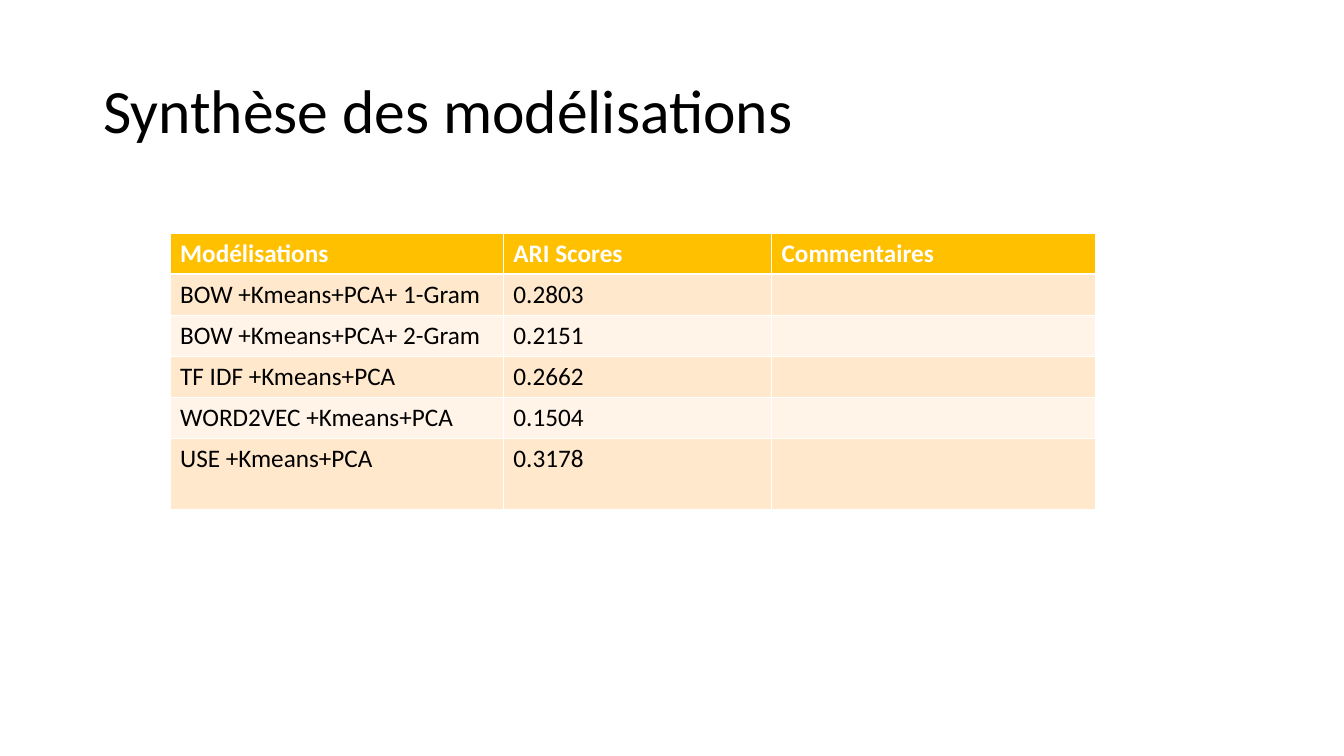
"""Build the slide that sums up the ARI score of each text model."""
from dataclasses import dataclass

from lxml.etree import SubElement
from pptx import Presentation
from pptx.dml.color import RGBColor
from pptx.enum.text import MSO_ANCHOR as Anchor
from pptx.oxml import parse_xml
from pptx.oxml.ns import nsdecls, qn
from pptx.util import Emu, Pt

EMU_PER_PX = 9080


@dataclass(frozen=True)
class Theme:
    font: str = "Calibri"
    title_size: int = 44
    cell_size: int = 18
    ink: str = "000000"
    paper: str = "FFFFFF"
    header: str = "FFC000"
    bands: tuple[str, str] = ("FFE8CB", "FFF4E7")
    thin: float = 0.45
    thick: float = 1.47


@dataclass(frozen=True)
class Column:
    heading: str
    width: int


@dataclass(frozen=True)
class Score:
    model: str
    ari: str
    comment: str = ""
    height: int = 41


THEME = Theme()
HEADER_HEIGHT = 41
COLUMNS = (
    Column("Modélisations", 333),
    Column("ARI Scores", 268),
    Column("Commentaires", 323),
)
SCORES = (
    Score("BOW +Kmeans+PCA+ 1-Gram", "0.2803"),
    Score("BOW +Kmeans+PCA+ 2-Gram", "0.2151"),
    Score("TF IDF +Kmeans+PCA", "0.2662"),
    Score("WORD2VEC +Kmeans+PCA", "0.1504"),
    Score("USE +Kmeans+PCA", "0.3178", height=71),
)


def px(length: int) -> Emu:
    return Emu(length * EMU_PER_PX)


def style_paragraph(paragraph, size: int, colour: str, bold: bool = False) -> None:
    font = paragraph.font
    font.name, font.size, font.bold = THEME.font, Pt(size), bold
    font.color.rgb = RGBColor.from_string(colour)


def add_title(slide, text: str) -> None:
    title = slide.shapes.add_textbox(px(93), px(40), px(1158), px(146)).text_frame
    title.word_wrap = True
    title.vertical_anchor = Anchor.MIDDLE
    heading = title.paragraphs[0]
    heading.text = text
    heading.line_spacing = 0.9
    style_paragraph(heading, THEME.title_size, THEME.ink)


def set_borders(cell, top: float, bottom: float) -> None:
    properties = cell._tc.get_or_add_tcPr()
    widths = {"lnL": THEME.thin, "lnR": THEME.thin, "lnT": top, "lnB": bottom}
    for position, (side, width) in enumerate(widths.items()):
        border = parse_xml(f'<a:{side} {nsdecls("a")} w="{Pt(width)}"/>')
        fill = SubElement(border, qn("a:solidFill"))
        SubElement(fill, qn("a:srgbClr"), val=THEME.paper)
        properties.insert(position, border)


def fill_row(cells, texts: tuple[str, ...], row: int) -> None:
    is_header = row == 0
    background = THEME.header if is_header else THEME.bands[(row - 1) % 2]
    top = THEME.thick if row == 1 else THEME.thin
    bottom = THEME.thick if is_header else THEME.thin
    for cell, text in zip(cells, texts):
        cell.text = text
        style_paragraph(cell.text_frame.paragraphs[0], THEME.cell_size,
                        THEME.paper if is_header else THEME.ink, is_header)
        cell.fill.solid()
        cell.fill.fore_color.rgb = RGBColor.from_string(background)
        set_borders(cell, top, bottom)


def add_scores(slide) -> None:
    heights = (HEADER_HEIGHT, *(score.height for score in SCORES))
    rows = (
        tuple(column.heading for column in COLUMNS),
        *((score.model, score.ari, score.comment) for score in SCORES),
    )
    width = sum(column.width for column in COLUMNS)
    scores = slide.shapes.add_table(len(rows), len(COLUMNS), px(170), px(233),
                                    px(width), px(sum(heights))).table
    for table_column, column in zip(scores.columns, COLUMNS):
        table_column.width = px(column.width)
    for index, (table_row, height, texts) in enumerate(zip(scores.rows, heights, rows)):
        table_row.height = px(height)
        fill_row(table_row.cells, texts, index)


def main() -> None:
    deck = Presentation()
    deck.slide_width, deck.slide_height = px(1343), px(755)
    slide = deck.slides.add_slide(deck.slide_layouts[6])
    add_title(slide, "Synthèse des modélisations")
    add_scores(slide)
    deck.save("out.pptx")


if __name__ == "__main__":
    main()
